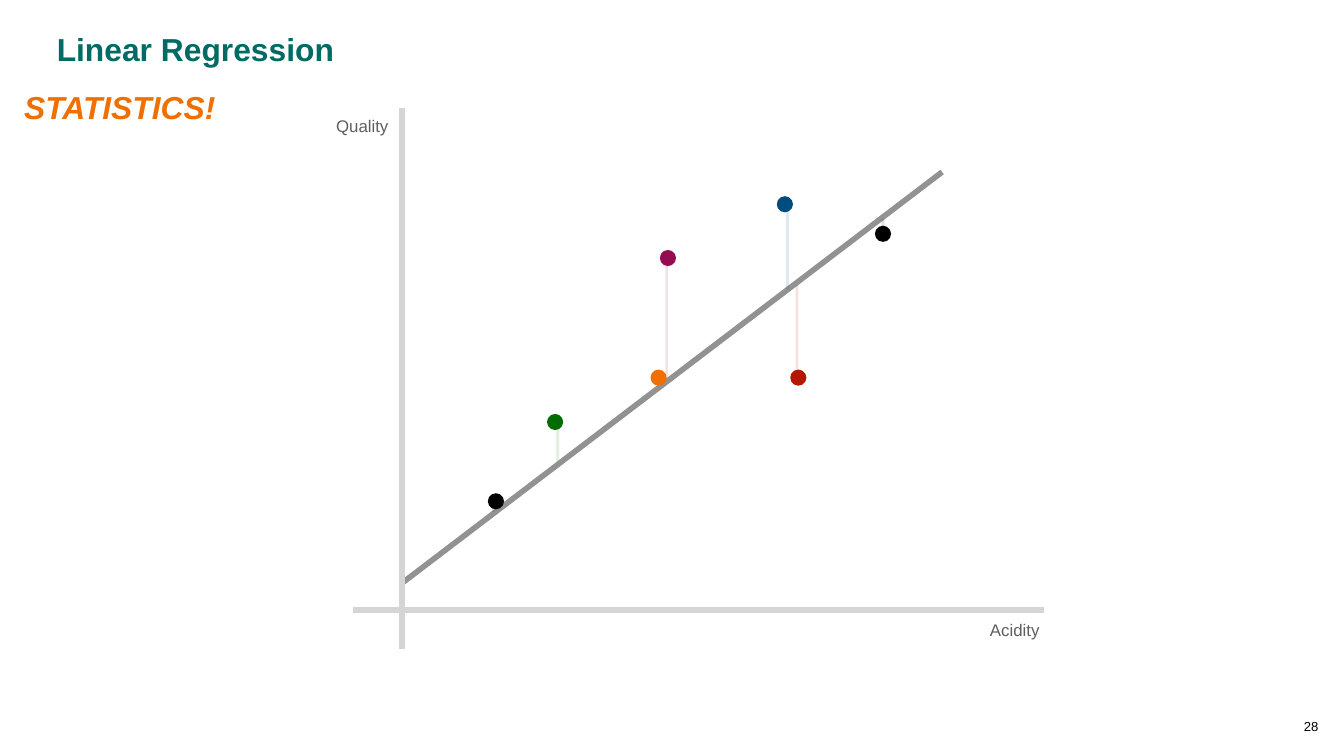
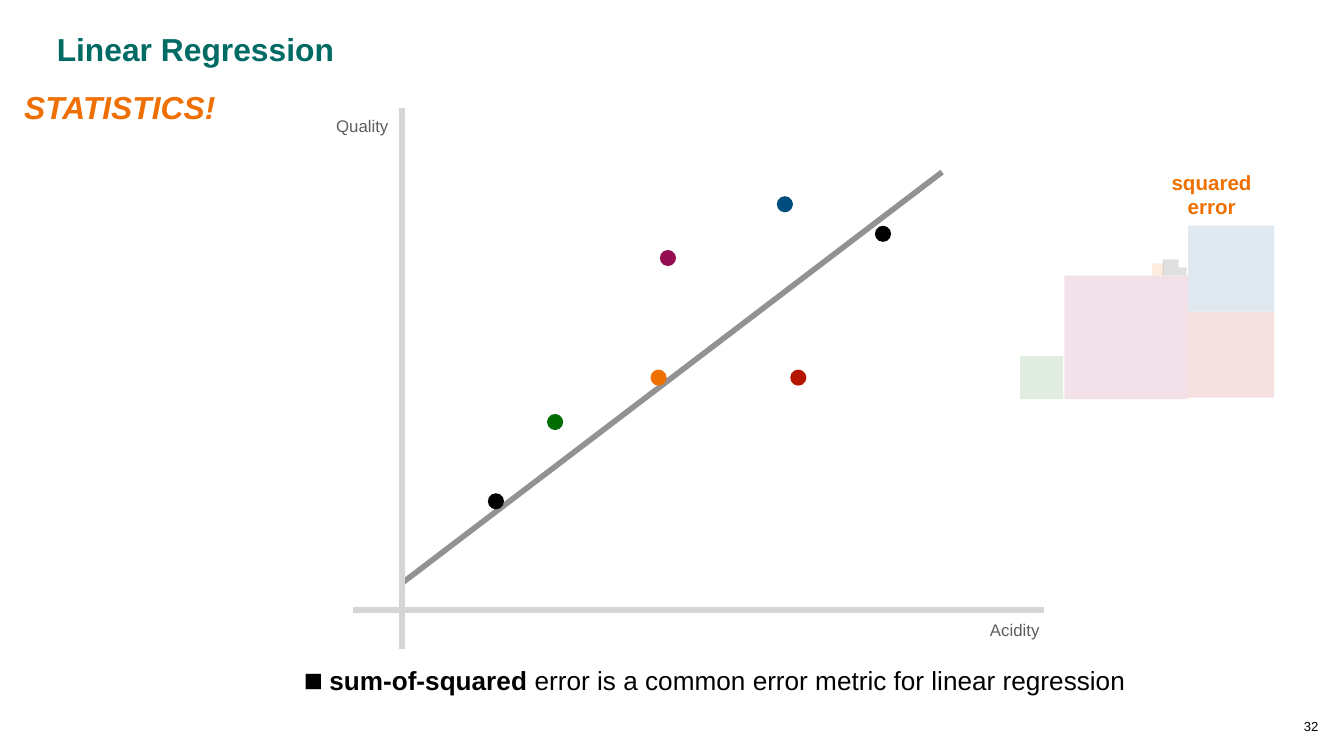
from lxml import etree
from pptx import Presentation
from pptx.dml.color import RGBColor
from pptx.enum.shapes import MSO_CONNECTOR, MSO_SHAPE
from pptx.enum.text import MSO_ANCHOR, MSO_AUTO_SIZE, PP_ALIGN
from pptx.oxml.ns import qn
from pptx.util import Inches, Pt

STRAIGHT = MSO_CONNECTOR.STRAIGHT
RECT, OVAL = MSO_SHAPE.RECTANGLE, MSO_SHAPE.OVAL
TOP, MIDDLE, BOTTOM = MSO_ANCHOR.TOP, MSO_ANCHOR.MIDDLE, MSO_ANCHOR.BOTTOM
LEFT, CENTER = PP_ALIGN.LEFT, PP_ALIGN.CENTER
GROW, FIXED = MSO_AUTO_SIZE.SHAPE_TO_FIT_TEXT, MSO_AUTO_SIZE.NONE

TEAL = RGBColor(0x00, 0x6B, 0x64)
ORANGE = RGBColor(0xEF, 0x70, 0x01)
PLUM = RGBColor(0x95, 0x0D, 0x51)
RED = RGBColor(0xB4, 0x16, 0x00)
GREEN = RGBColor(0x01, 0x6D, 0x01)
BLUE = RGBColor(0x00, 0x4C, 0x7F)
BLACK = RGBColor(0, 0, 0)
TREND_GREY = RGBColor(0x92, 0x92, 0x92)
AXIS_GREY = RGBColor(0xD5, 0xD5, 0xD5)
LABEL_GREY = RGBColor(0x5E, 0x5E, 0x5E)

SLIDE_WIDTH = 10
SLIDE_HEIGHT = SLIDE_WIDTH * 9 / 16
FONT = "Arial"
INSET = 0.02
DOT_SIZE = 0.12
ERROR_WIDTH = 0.02
ERROR_OPACITY = 12  # percent

# Content
TITLE = "Linear Regression"
TAG = "STATISTICS!"
PAGE_NUMBERS = {"errors": "28", "squares": "32"}
AXIS_LABELS = [("Acidity", (7.33, 4.59, 0.44, 0.19)),
               ("Quality", (2.47, 0.84, 0.45, 0.19))]
SQUARES_LABEL = "squared error"
METRIC = [("sum-of-squared", True),
          (" error is a common error metric for linear regression", False)]

# Trend line first, then the two axes: start, end, colour
PLOT_LINES = [((2.99, 4.34), (7.01, 1.28), TREND_GREY),
              ((2.99, 4.83), (2.99, 0.8), AXIS_GREY),
              ((7.77, 4.54), (2.63, 4.54), AXIS_GREY)]

# Colour, dot corner, error corner, error size, corner of squared error,
# whether the error lies behind the trend line
SAMPLES = [
    (PLUM, (4.91, 1.86), (4.95, 1.93), 0.92, (7.92, 2.05), True),
    (GREEN, (4.07, 3.08), (4.14, 3.14), 0.32, (7.59, 2.65), True),
    (ORANGE, (4.84, 2.75), (4.89, 2.81), 0.09, (8.57, 1.96), False),
    (RED, (5.88, 2.75), (5.92, 2.12), 0.64, (8.84, 2.32), False),
    (BLACK, (3.63, 3.67), (3.66, 3.75), 0.06, (8.77, 1.99), False),
    (BLUE, (5.78, 1.46), (5.85, 1.51), 0.64, (8.84, 1.68), False),
    (BLACK, (6.51, 1.68), (6.56, 1.63), 0.12, (8.65, 1.93), False),
]


def set_all(target, values):
    for name, value in values.items():
        setattr(target, name, value)


def write(box, place, runs, size, color, anchor=MIDDLE, align=CENTER,
          wrap=True, grow=GROW, spacing=None, **style):
    """Place a text shape and fill its single paragraph with runs."""
    set_all(box, dict(zip(("left", "top", "width", "height"), map(Inches, place))))
    frame = box.text_frame
    set_all(frame, {"word_wrap": wrap, "auto_size": grow, "vertical_anchor": anchor})
    set_all(frame, {f"margin_{side}": Inches(INSET)
                    for side in ("left", "top", "right", "bottom")})
    paragraph = frame.paragraphs[0]
    set_all(paragraph, {"alignment": align, "line_spacing": spacing})
    for text, bold in runs:
        run = paragraph.add_run()
        run.text = text
        set_all(run.font, {"name": FONT, "size": Pt(size), "bold": bold, **style})
        run.font.color.rgb = color
    return paragraph


def add_text(slide, place, *args, **options):
    box = slide.shapes.add_textbox(*map(Inches, place))
    return write(box, place, *args, **options)


def add_filled(slide, preset, corner, width, height, color, opacity=100):
    part = slide.shapes.add_shape(preset, *map(Inches, (*corner, width, height)))
    part.shadow.inherit = False
    part.line.fill.background()
    part.fill.solid()
    part.fill.fore_color.rgb = color
    if opacity < 100:
        tone = part._element.spPr.find(qn("a:solidFill"))[0]
        etree.SubElement(tone, qn("a:alpha"), val=str(opacity * 1000))


def add_bullet(paragraph, mark, color, percent, indent):
    props = paragraph._p.get_or_add_pPr()
    props.set("marL", str(Inches(indent)))
    props.set("indent", str(-Inches(indent)))
    tone = etree.SubElement(props, qn("a:buClr"))
    etree.SubElement(tone, qn("a:srgbClr"), val=str(color))
    etree.SubElement(props, qn("a:buSzPct"), val=str(percent * 1000))
    etree.SubElement(props, qn("a:buFont"), typeface=FONT)
    etree.SubElement(props, qn("a:buChar"), char=mark)


def add_errors(slide, behind):
    for color, _, corner, size, _, is_behind in SAMPLES:
        if is_behind == behind:
            add_filled(slide, RECT, corner, ERROR_WIDTH, size, color, ERROR_OPACITY)


def add_plot(slide):
    for start, end, color in PLOT_LINES:
        line = slide.shapes.add_connector(STRAIGHT, *map(Inches, start + end))
        line.line.width = Pt(3)
        line.line.color.rgb = color
        etree.SubElement(line._element.spPr, qn("a:effectLst"))
    for label, place in AXIS_LABELS:
        add_text(slide, place, [(label, False)], 9, LABEL_GREY, wrap=False)
    for color, corner, *_ in SAMPLES:
        add_filled(slide, OVAL, corner, DOT_SIZE, DOT_SIZE, color)


def start_slide(deck, page_number):
    slide = deck.slides.add_slide(deck.slide_layouts[5])
    write(slide.shapes.title, (0.22, 0.2, 2.47, 0.33), [(TITLE, True)], 17, TEAL)
    add_text(slide, (0.16, 0.57, 2.14, 0.33), [(TAG, True)], 17, ORANGE,
             align=LEFT, spacing=1.4, italic=True)
    add_text(slide, (9.68, 5.32, 0.15, 0.16), [(page_number, False)], 7, BLACK,
             anchor=BOTTOM, wrap=False)
    return slide


def build_errors(deck):
    slide = start_slide(deck, PAGE_NUMBERS["errors"])
    add_errors(slide, behind=True)
    add_plot(slide)
    add_errors(slide, behind=False)


def build_squares(deck):
    slide = start_slide(deck, PAGE_NUMBERS["squares"])
    add_plot(slide)
    for color, _, _, side, corner, _ in SAMPLES:
        add_filled(slide, RECT, corner, side, side, color, ERROR_OPACITY)
    add_text(slide, (8.52, 1.24, 0.99, 0.41), [(SQUARES_LABEL, True)], 11, ORANGE)
    metric = add_text(slide, (2.24, 4.95, 6.41, 0.27), METRIC, 14, BLACK,
                      anchor=TOP, align=LEFT, grow=FIXED, spacing=0.9)
    add_bullet(metric, "■", BLACK, 121, 0.19)


def main():
    deck = Presentation()
    set_all(deck, {"slide_width": Inches(SLIDE_WIDTH),
                   "slide_height": Inches(SLIDE_HEIGHT)})
    build_errors(deck)
    build_squares(deck)
    deck.save("out.pptx")


if __name__ == "__main__":
    main()
